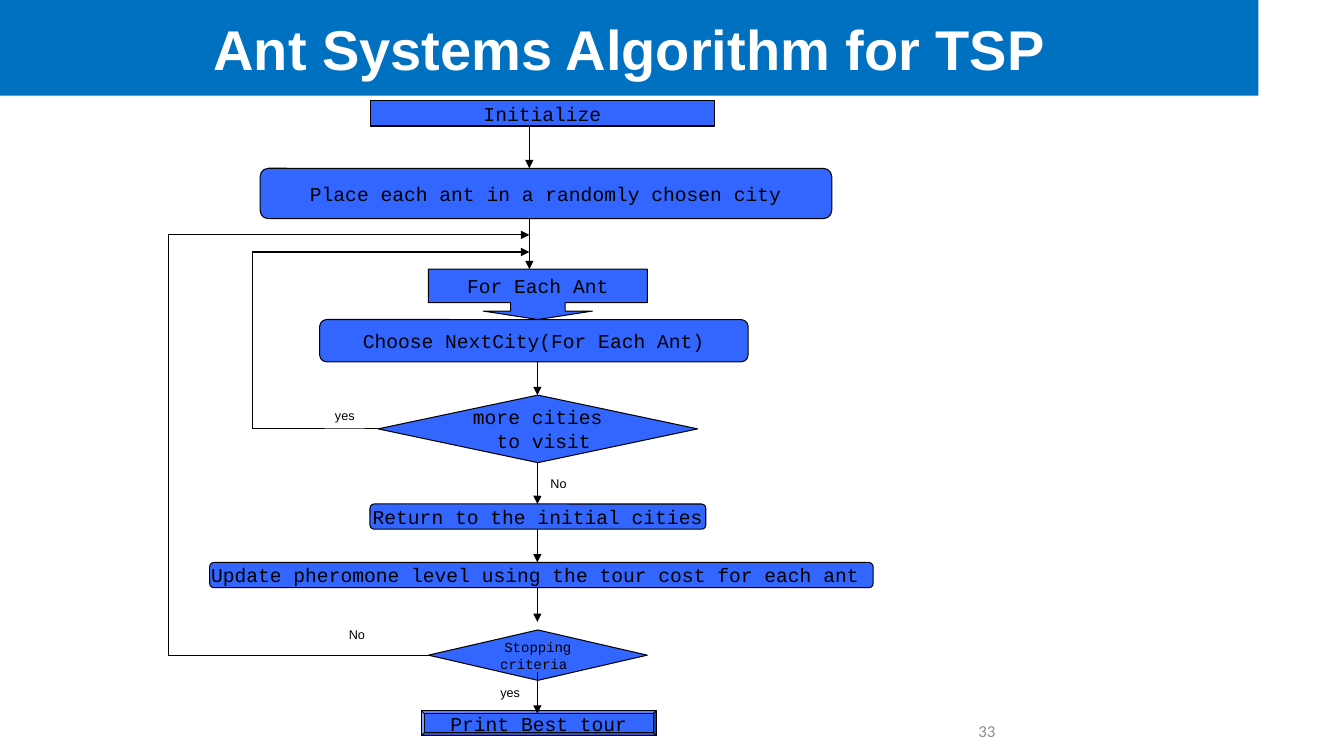
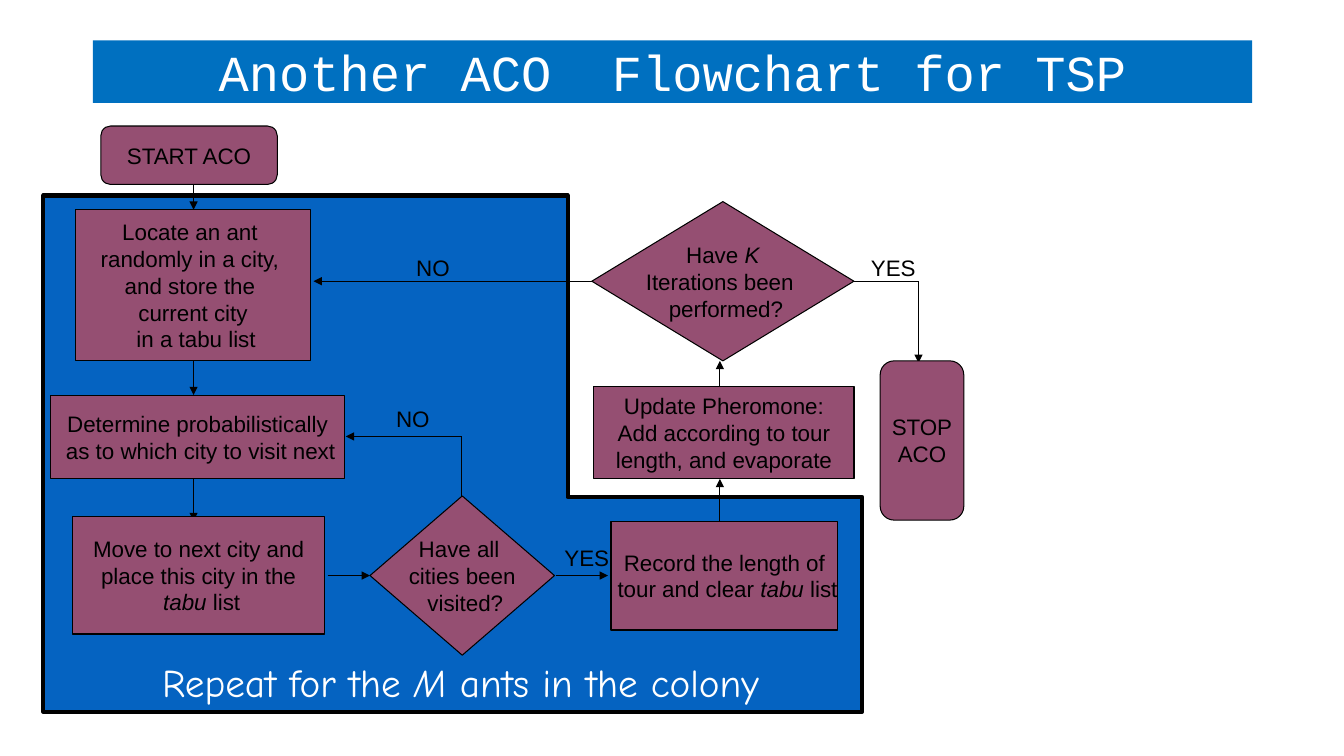
"""Build two slides with flowcharts of ant colony algorithms for the travelling salesman problem."""
from dataclasses import dataclass

from lxml import etree
from pptx import Presentation
from pptx.dml.color import RGBColor
from pptx.enum import shapes, text
from pptx.oxml import ns
from pptx.util import Inches, Pt


@dataclass(frozen=True)
class Theme:
    band: str = "0070C0"
    step_blue: str = "3366FF"
    step_plum: str = "954F72"
    region: str = "0563C1"
    ink: str = "000000"
    paper: str = "FFFFFF"
    muted: str = "8C8C8C"
    sans: str = "Arial"
    mono: str = "Courier New"
    hand: str = "Comic Neue"
    number_font: str = "Calibri"
    title_size: int = 40
    subtitle_size: int = 36
    caption_size: int = 28
    plum_size: int = 16
    blue_size: int = 14
    number_size: int = 12
    criteria_size: int = 10
    label_size: int = 9
    thin: float = 0.75
    thick: float = 3


THEME = Theme()
KIND = shapes.MSO_SHAPE
PROCESS = KIND.FLOWCHART_PROCESS
ROUNDED = KIND.FLOWCHART_ALTERNATE_PROCESS
DECISION = KIND.FLOWCHART_DECISION
CALLOUT = KIND.DOWN_ARROW_CALLOUT
CALLOUT_ADJUSTMENTS = (1.083, 1.083, 0.167, 0.667)

SYSTEM_TITLE = "Ant Systems Algorithm for TSP"
SYSTEM_STEPS = [
    (PROCESS, (3.67, 1, 3.42, 0.25), "Initialize"),
    (ROUNDED, (2.58, 1.67, 5.67, 0.5), "Place each ant in a randomly chosen city"),
    (ROUNDED, (3.17, 3.17, 4.25, 0.42), "Choose NextCity(For Each Ant)"),
    (DECISION, (3.75, 3.92, 3.17, 0.67), "more cities\n to visit"),
    (CALLOUT, (4.25, 2.67, 2.17, 0.5), "For Each Ant"),
    (KIND.ROUNDED_RECTANGLE, (3.67, 5, 3.33, 0.25), "Return to the initial cities"),
    (ROUNDED, (2.08, 5.58, 6.58, 0.25),
     "Update pheromone level using the tour cost for each ant "),
    (KIND.BEVEL, (4.18, 7.05, 2.33, 0.25), "Print Best tour"),
]
STOPPING_STEP = (DECISION, (4.25, 6.25, 2.17, 0.5), "Stopping\ncriteria ")
SYSTEM_ROUTES = [
    [(5.25, 1.25), (5.25, 1.67)],
    [(5.25, 2.17), (5.25, 2.67)],
    [(5.33, 3.58), (5.33, 3.92)],
    [(5.33, 4.58), (5.33, 5)],
    [(5.33, 5.25), (5.33, 5.58)],
    [(5.33, 5.83), (5.33, 6.17)],
    [(5.33, 6.67), (5.33, 7.08)],
    [(3.75, 4.25), (2.5, 4.25), (2.5, 2.5), (5.25, 2.5)],
    [(4.25, 6.5), (1.67, 6.5), (1.67, 2.33), (5.25, 2.33)],
]
SYSTEM_LABELS = [
    ((3.22, 4, 0.4, 0.25), "yes"),
    ((5.36, 4.67, 0.36, 0.25), "No"),
    ((4.86, 6.75, 0.4, 0.25), "yes"),
    ((3.36, 6.17, 0.36, 0.25), "No"),
]

COLONY_TITLE = "Another ACO  Flowchart for TSP"
COLONY_REGION = [(0.43, 1.94), (5.63, 1.94), (5.63, 4.93),
                 (8.55, 4.93), (8.55, 7.06), (0.43, 7.06)]
COLONY_STEPS = [
    (ROUNDED, (1, 1.25, 1.75, 0.58), "START ACO"),
    (PROCESS, (0.75, 2.08, 2.33, 1.5),
     "Locate an ant \nrandomly in a city, \nand store the \n current city \n in a tabu list"),
    (PROCESS, (0.5, 3.92, 2.92, 0.83),
     "Determine probabilistically\n as to which city to visit next"),
    (PROCESS, (0.72, 5.12, 2.5, 1.17),
     "Move to next city and\n place this city in the \n *tabu *list"),
    (DECISION, (3.67, 4.92, 1.83, 1.58), "Have all \n cities been \n visited?"),
    (PROCESS, (6.06, 5.17, 2.25, 1.08),
     "Record the length of\n tour and clear *tabu* list"),
    (PROCESS, (5.89, 3.83, 2.58, 0.92),
     "Update Pheromone:\nAdd according to tour\nlength, and evaporate"),
    (DECISION, (5.87, 2, 2.6, 1.58), "Have *K*\nIterations been \n performed?"),
    (ROUNDED, (8.73, 3.58, 0.83, 1.58), "STOP\nACO"),
]
COLONY_ROUTES = [
    [(1.92, 1.83), (1.92, 2.08)],
    [(1.92, 3.58), (1.92, 3.92)],
    [(1.92, 4.75), (1.92, 5.17)],
    [(3.25, 5.71), (3.67, 5.71)],
    [(4.58, 4.92), (4.58, 4.33), (3.43, 4.33)],
    [(5.51, 5.71), (6.03, 5.71)],
    [(7.14, 5.17), (7.14, 4.75)],
    [(7.14, 3.83), (7.14, 3.58)],
    [(8.47, 2.79), (9.11, 2.79), (9.11, 3.6)],
    [(5.87, 2.79), (3.11, 2.79)],
]
COLONY_LABELS = [
    ((3.83, 3.97, 0.67, 0.37), "NO"),
    ((5.5, 5.35, 0.84, 0.37), "YES"),
    ((8.54, 2.47, 0.67, 0.37), "YES"),
    ((4.03, 2.47, 0.67, 0.37), "NO"),
]


def color(value):
    return RGBColor.from_string(value)


def inches(values):
    return [Inches(value) for value in values]


def paint(shape, fill, line_width):
    shape.shadow.inherit = False
    shape.fill.solid()
    shape.fill.fore_color.rgb = color(fill)
    shape.line.color.rgb = color(THEME.ink)
    shape.line.width = Pt(line_width)


def write(shape, content, font, size, ink=THEME.ink, align=text.PP_ALIGN.CENTER,
          anchor=text.MSO_ANCHOR.MIDDLE, wrap=False, bold=False):
    """Fill a shape with lines of text, where asterisks enclose italics."""
    frame = shape.text_frame
    frame.word_wrap = wrap
    frame.auto_size = text.MSO_AUTO_SIZE.NONE
    frame.vertical_anchor = anchor
    for index, line in enumerate(content.split("\n")):
        paragraph = frame.paragraphs[0] if index == 0 else frame.add_paragraph()
        paragraph.alignment = align
        for position, part in enumerate(line.split("*")):
            if not part:
                continue
            run = paragraph.add_run()
            run.text = part
            run.font.name = font
            run.font.size = Pt(size)
            run.font.bold = bold
            run.font.italic = position % 2 == 1
            run.font.color.rgb = color(ink)


def add_titled_slide(presentation, title, box, font, size, bold=False):
    slide = presentation.slides.add_slide(presentation.slide_layouts[5])
    shape = slide.shapes.title
    shape.left, shape.top, shape.width, shape.height = inches(box)
    shape.fill.solid()
    shape.fill.fore_color.rgb = color(THEME.band)
    write(shape, title, font, size, THEME.paper, wrap=True, bold=bold)
    return slide


def add_step(slide, step, fill, font, size):
    kind, box, content = step
    shape = slide.shapes.add_shape(kind, *inches(box))
    if kind == CALLOUT:
        for index, value in enumerate(CALLOUT_ADJUSTMENTS):
            shape.adjustments[index] = value
    paint(shape, fill, THEME.thin)
    write(shape, content, font, size)


def add_route(slide, points):
    """Draw straight segments through the points, with an arrowhead at the end."""
    for start, end in zip(points, points[1:]):
        connector = slide.shapes.add_connector(
            shapes.MSO_CONNECTOR.STRAIGHT, *inches(start + end))
        connector.line.color.rgb = color(THEME.ink)
        connector.line.width = Pt(THEME.thin)
        properties = connector.line._get_or_add_ln()
        if end == points[-1]:
            etree.SubElement(properties, ns.qn("a:tailEnd"), type="triangle")
        etree.SubElement(properties.getparent(), ns.qn("a:effectLst"))


def add_text(slide, box, content, font, size, fill=None, **style):
    shape = slide.shapes.add_textbox(*inches(box))
    if fill:
        shape.fill.solid()
        shape.fill.fore_color.rgb = color(fill)
    write(shape, content, font, size, **style)


def add_region(slide, points):
    corners = [tuple(inches(point)) for point in points]
    builder = slide.shapes.build_freeform(*corners[0])
    builder.add_line_segments(corners[1:], close=True)
    paint(builder.convert_to_shape(), THEME.region, THEME.thick)


def build_system_slide(presentation):
    slide = add_titled_slide(presentation, SYSTEM_TITLE, (0, 0, 12.48, 0.95),
                             THEME.sans, THEME.title_size, bold=True)
    for step in SYSTEM_STEPS:
        add_step(slide, step, THEME.step_blue, THEME.mono, THEME.blue_size)
    add_step(slide, STOPPING_STEP, THEME.step_blue, THEME.mono, THEME.criteria_size)
    for route in SYSTEM_ROUTES:
        add_route(slide, route)
    for box, label in SYSTEM_LABELS:
        add_text(slide, box, label, THEME.sans, THEME.label_size, THEME.paper,
                 anchor=text.MSO_ANCHOR.TOP)
    add_text(slide, (7.92, 7, 2.05, 0.5), "33", THEME.number_font, THEME.number_size,
             ink=THEME.muted, align=text.PP_ALIGN.RIGHT, wrap=True)


def build_colony_slide(presentation):
    slide = add_titled_slide(presentation, COLONY_TITLE, (0.92, 0.4, 11.5, 0.62),
                             THEME.mono, THEME.subtitle_size)
    add_region(slide, COLONY_REGION)
    for route in COLONY_ROUTES:
        add_route(slide, route)
    for step in COLONY_STEPS:
        add_step(slide, step, THEME.step_plum, THEME.sans, THEME.plum_size)
    left_top = {"align": text.PP_ALIGN.LEFT, "anchor": text.MSO_ANCHOR.TOP, "wrap": True}
    for box, label in COLONY_LABELS:
        add_text(slide, box, label, THEME.sans, THEME.plum_size, **left_top)
    add_text(slide, (1.51, 6.48, 6.67, 0.57), "Repeat for the *M *ants in the colony",
             THEME.hand, THEME.caption_size, ink=THEME.paper, **left_top)


def main():
    presentation = Presentation()
    presentation.slide_width, presentation.slide_height = inches((13.33, 7.5))
    build_system_slide(presentation)
    build_colony_slide(presentation)
    presentation.save("out.pptx")


if __name__ == "__main__":
    main()
